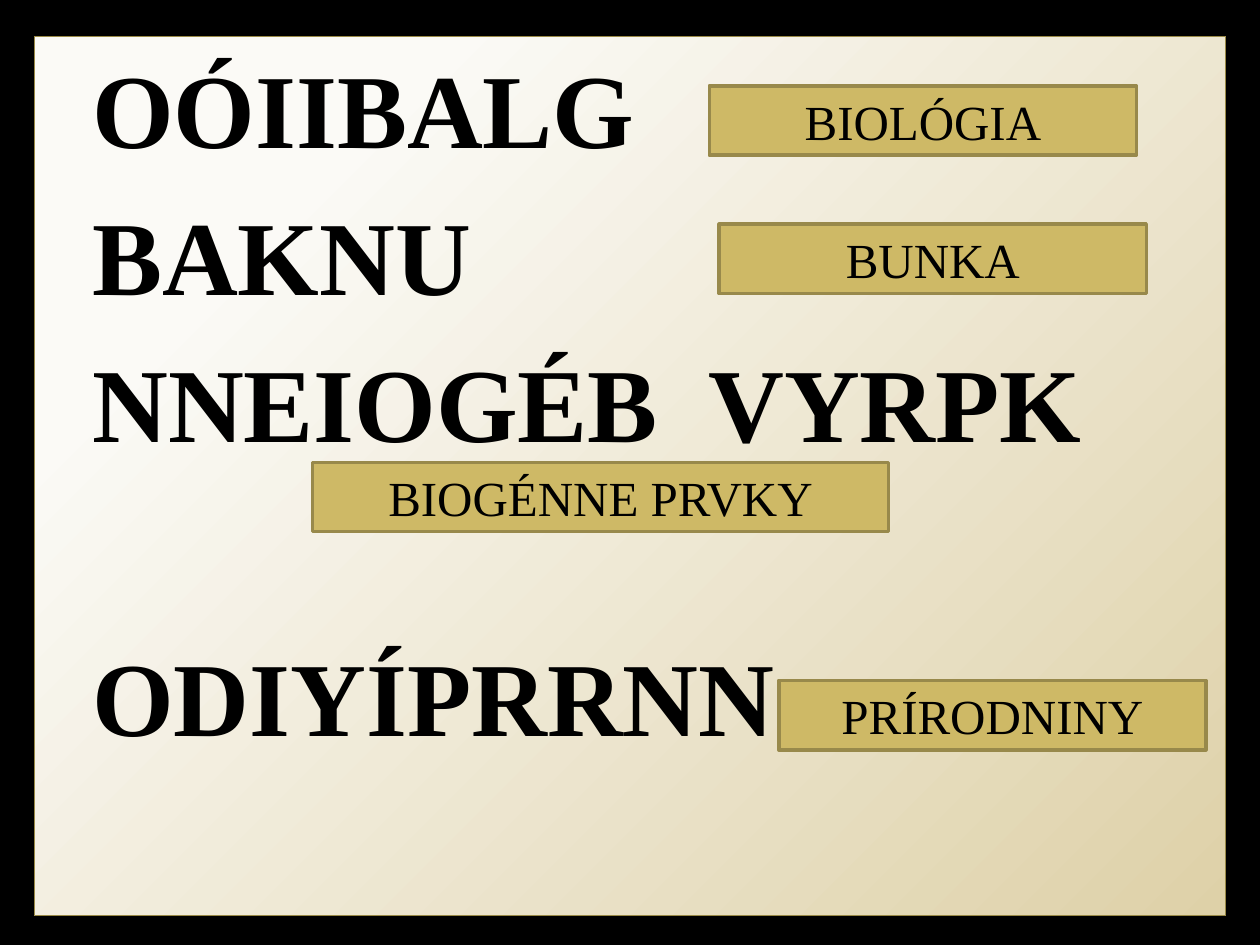
from dataclasses import dataclass
from pptx import Presentation
from pptx.dml.color import RGBColor as Rgb
from pptx.enum.shapes import MSO_SHAPE as Kind
from pptx.enum.text import MSO_ANCHOR as Anchor, PP_ALIGN as Align
from pptx.util import Cm, Pt


@dataclass(frozen=True)
class Theme:
    font: str = "Times New Roman"
    ink: str = "000000"
    back: str = "000000"
    light: str = "FBFAF6"
    sand: str = "DED1A8"
    rim: str = "998946"
    gold: str = "CEB966"
    edge: str = "98894B"
    big: int = 60
    small: int = 28


def write(par, text, theme, size, bold=False, align=Align.LEFT, before=0):
    run = par.add_run()
    run.text = text
    par.alignment = align
    par.space_before = Pt(before)
    font = run.font
    font.name, font.size, font.bold = theme.font, Pt(size), bold
    font.color.rgb = Rgb.from_string(theme.ink)


class Deck:
    def __init__(self, theme):
        self.theme = theme
        self.prs = Presentation()
        self.prs.slide_width, self.prs.slide_height = Cm(25.4), Cm(19.05)
        self.slide = self.prs.slides.add_slide(self.prs.slide_layouts[6])
        fill = self.slide.background.fill
        fill.solid()
        fill.fore_color.rgb = Rgb.from_string(theme.back)

    def box(self, left, top, width, height, edge, weight):
        shape = self.slide.shapes.add_shape(
            Kind.RECTANGLE, Cm(left), Cm(top), Cm(width), Cm(height))
        shape.shadow.inherit = False
        shape.line.color.rgb = Rgb.from_string(edge)
        shape.line.width = Pt(weight)
        shape.text_frame.word_wrap = True
        return shape

    def panel(self, lines):
        """Large card; each line is a text with its space before."""
        theme = self.theme
        shape = self.box(0.7, 0.73, 24, 17.73, theme.rim, 0.75)
        shape.fill.gradient()
        shape.fill.gradient_angle = 315
        stops = zip(shape.fill.gradient_stops,
                    ((0.2, theme.light), (1, theme.sand)))
        for stop, (place, color) in stops:
            stop.position = place
            stop.color.rgb = Rgb.from_string(color)
        frame = shape.text_frame
        frame.vertical_anchor = Anchor.TOP
        frame.margin_left, frame.margin_top = Cm(1.16), Cm(0.14)
        for i, (text, before) in enumerate(lines):
            par = frame.add_paragraph() if i else frame.paragraphs[0]
            write(par, text, theme, theme.big, bold=True, before=before)

    def label(self, text, left, top, width=8.61):
        theme = self.theme
        shape = self.box(left, top, width, 1.4, theme.edge, 2)
        shape.fill.solid()
        shape.fill.fore_color.rgb = Rgb.from_string(theme.gold)
        shape.text_frame.vertical_anchor = Anchor.MIDDLE
        write(shape.text_frame.paragraphs[0], text, theme, theme.small,
              align=Align.CENTER)


def main():
    deck = Deck(Theme())

    # Scrambled words
    deck.panel([("OÓIIBALG", 0), ("BAKNU", 12),
                ("NNEIOGÉB  VYRPK", 12), ("ODIYÍPRRNN", 96)])

    # Answers
    deck.label("BIOLÓGIA", 14.3, 1.73)
    deck.label("BUNKA", 14.5, 4.52)
    deck.label("BIOGÉNNE PRVKY", 6.3, 9.32, width=11.61)
    deck.label("PRÍRODNINY", 15.7, 13.72)

    deck.prs.save("out.pptx")


if __name__ == "__main__":
    main()
